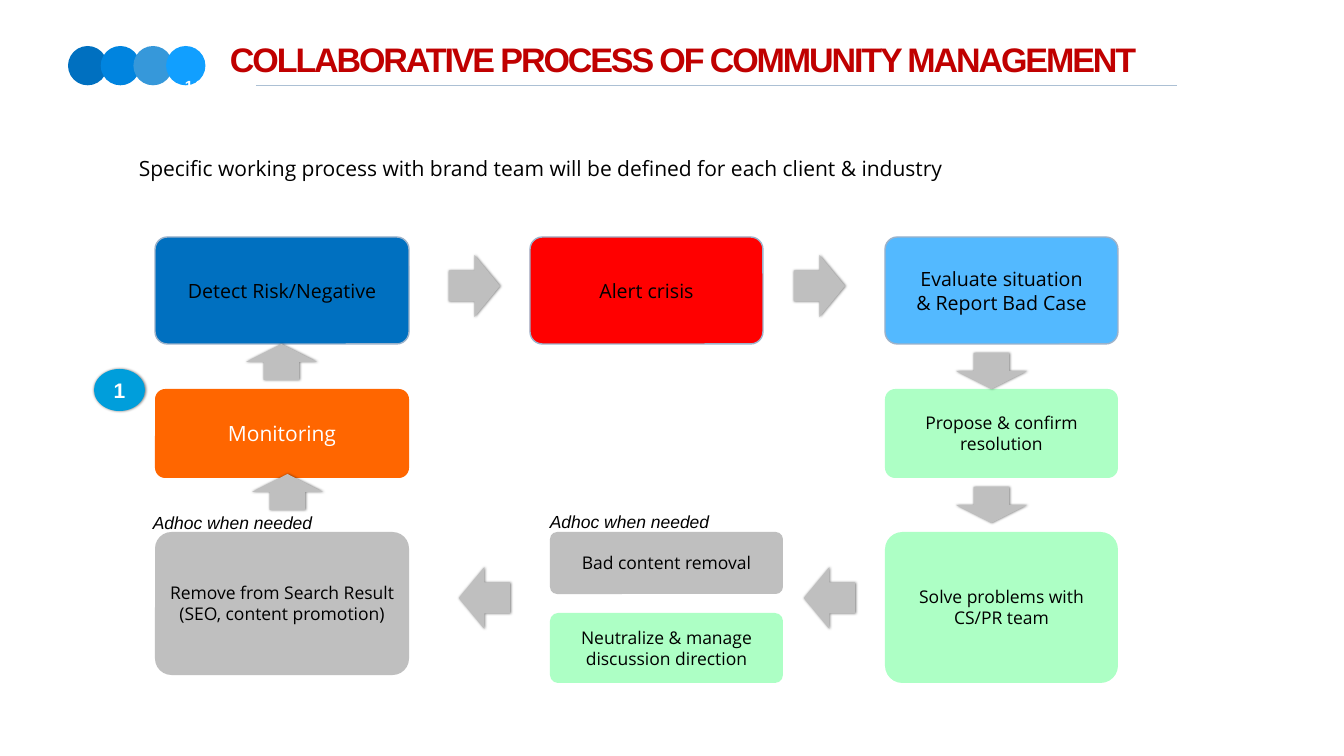
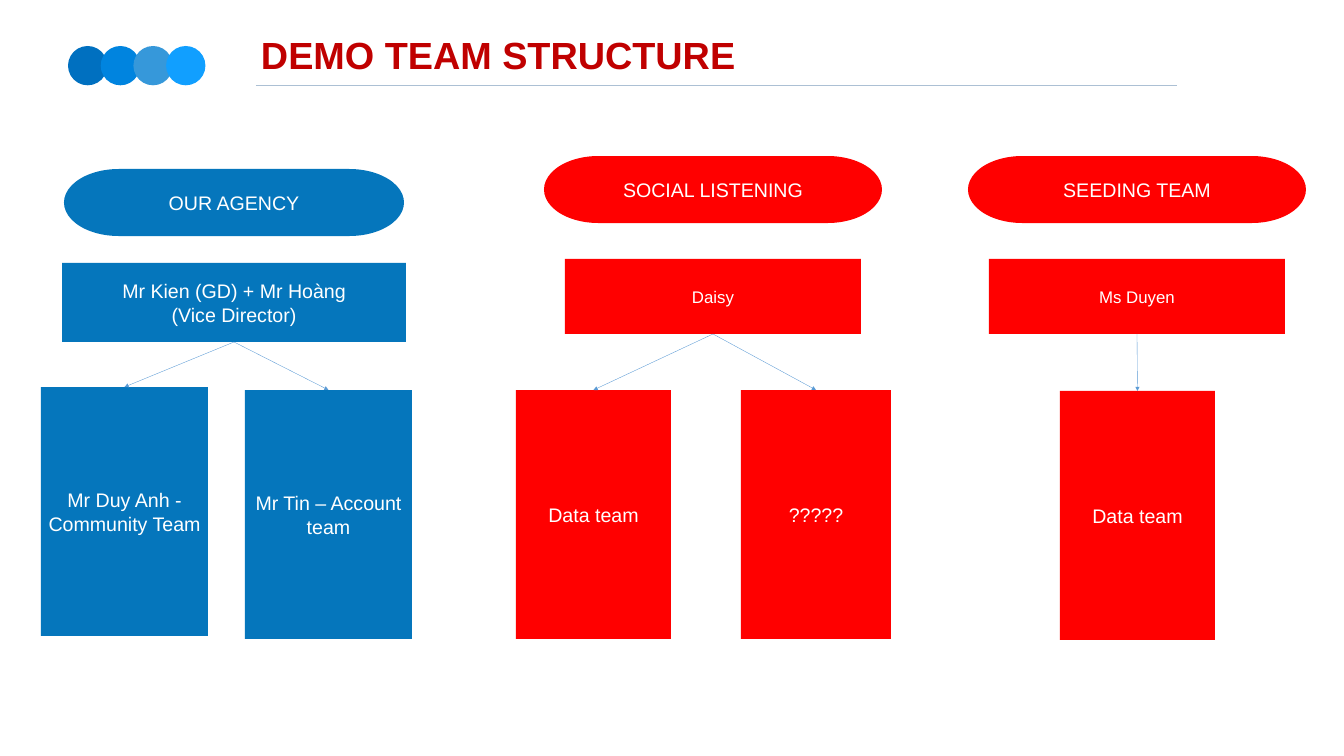
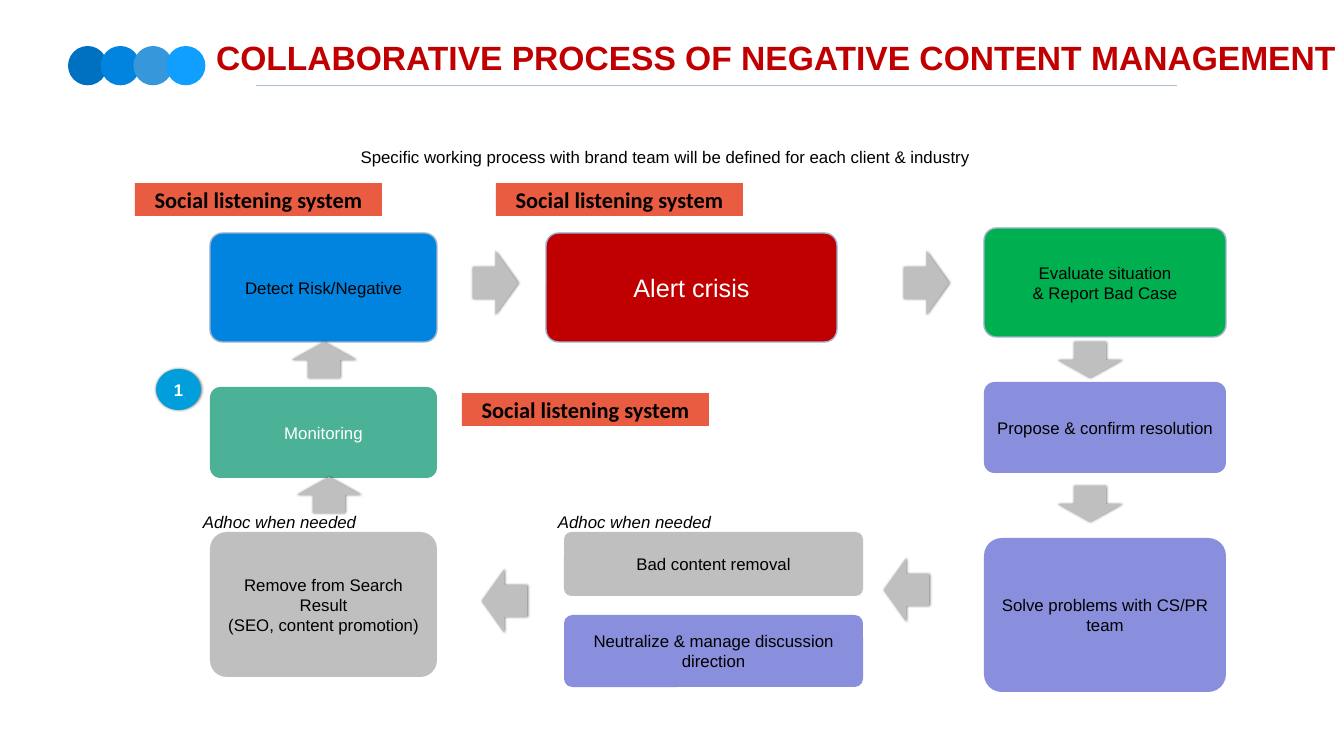
from lxml.etree import SubElement
from pptx import Presentation
from pptx.dml.color import RGBColor
from pptx.enum.shapes import MSO_CONNECTOR, MSO_SHAPE
from pptx.enum.text import MSO_ANCHOR, MSO_AUTO_SIZE, PP_ALIGN
from pptx.oxml.ns import qn
from pptx.util import Emu, Pt

EMU_PER_PIXEL = 914400 / 50.4
BLACK, WHITE = "000000", "FFFFFF"
RED, DARK_RED, BLUE = "FF0000", "C00000", "0576BC"
GREY, GREEN, VIOLET = "BFBFBF", "ADFFC5", "898FDC"
OUTLINE = "9CB2CA"
DOT_COLOURS = ["0070C0", "0084DF", "3698DA", "119FFF"]
CAPTION = "Specific working process with brand team will be defined for each client & industry"

STEP_TEXTS = {
    "detect": "Detect Risk/Negative",
    "alert": "Alert crisis",
    "evaluate": "Evaluate situation\n& Report Bad Case",
    "propose": "Propose & confirm resolution",
    "solve": "Solve problems with CS/PR team",
    "neutralize": "Neutralize & manage discussion direction",
    "removal": "Bad content removal",
    "remove": "Remove from Search Result\n(SEO, content promotion)",
    "monitoring": "Monitoring",
}
OUTLINED_STEPS = {"detect", "alert", "evaluate"}
ARROWS = {
    "right": MSO_SHAPE.RIGHT_ARROW,
    "left": MSO_SHAPE.LEFT_ARROW,
    "down": MSO_SHAPE.DOWN_ARROW,
    "up": MSO_SHAPE.UP_ARROW,
}


def px(length):
    return Emu(round(length * EMU_PER_PIXEL))


def colour(hex_code):
    return RGBColor.from_string(hex_code)


def shift(origin, place):
    return origin[0] + place[0], origin[1] + place[1], *place[2:]


def write(shape, text, size, ink=BLACK, font="Arial", bold=False, italic=False,
          align=PP_ALIGN.CENTER, anchor=MSO_ANCHOR.MIDDLE, insets=(5, 2.5), wrap=True):
    frame = shape.text_frame
    frame.word_wrap = wrap
    frame.auto_size = MSO_AUTO_SIZE.NONE
    frame.vertical_anchor = anchor
    frame.margin_left = frame.margin_right = px(insets[0])
    frame.margin_top = frame.margin_bottom = px(insets[1])
    frame.text = text
    for paragraph in frame.paragraphs:
        paragraph.alignment = align
        paragraph.font.name = font
        paragraph.font.size = Pt(size)
        paragraph.font.bold = bold
        paragraph.font.italic = italic
        paragraph.font.color.rgb = colour(ink)
    return shape


def draw(slide, preset, place, fill, outline=None):
    shape = slide.shapes.add_shape(preset, *map(px, place))
    shape.shadow.inherit = False
    shape.fill.solid()
    shape.fill.fore_color.rgb = colour(fill)
    if outline:
        shape.line.color.rgb = colour(outline)
        shape.line.width = Pt(2)
    else:
        shape.line.fill.background()
    return shape


def label(slide, place, text, size, **style):
    return write(slide.shapes.add_textbox(*map(px, place)), text, size, **style)


def cast_shadow(shape):
    effects = shape._element.spPr.find(qn("a:effectLst"))
    shadow = SubElement(effects, qn("a:outerShdw"), blurRad=str(Pt(4)), dist=str(Pt(1)),
                        dir="0", rotWithShape="0")
    tint = SubElement(shadow, qn("a:srgbClr"), val=BLACK)
    SubElement(tint, qn("a:alpha"), val="50000")


def connect(slide, ends, line_colour, width):
    connector = slide.shapes.add_connector(MSO_CONNECTOR.STRAIGHT, *map(px, ends))
    connector.line.color.rgb = colour(line_colour)
    connector.line.width = Pt(width)
    SubElement(connector._element.spPr, qn("a:effectLst"))
    return connector


def add_band_to_layout(slide, layout):
    band = [draw(slide, MSO_SHAPE.OVAL, (68 + 32.7 * i, 46, 39.3, 39.3), dot)
            for i, dot in enumerate(DOT_COLOURS)]
    band.append(connect(slide, (256, 85.7, 1177, 85.7), "ACC0D4", 2))
    for part in band:
        layout.shapes._spTree.append(part._element)


def set_title(slide, place, text, size, spacing=None):
    title = slide.shapes.title
    title.left, title.top, title.width, title.height = map(px, place)
    write(title, text, size, DARK_RED, bold=True, align=PP_ALIGN.LEFT,
          anchor=MSO_ANCHOR.TOP, insets=(3, 3))
    if spacing:
        title.text_frame.paragraphs[0].runs[0].font._element.set("spc", str(spacing))


def add_caption(slide, place, size, font, insets, space_after):
    caption = label(slide, place, CAPTION, size, font=font, insets=insets,
                    anchor=MSO_ANCHOR.TOP)
    paragraph = caption.text_frame.paragraphs[0]
    paragraph.line_spacing = 1.2
    paragraph.space_after = Pt(space_after)


def add_process(slide, origin, steps, arrows, arrow_size, badge, notes, note_size,
                font, insets, badge_insets, badge_text_size, note_text_size):
    for step, (place, fill, size, ink) in steps.items():
        box = draw(slide, MSO_SHAPE.ROUNDED_RECTANGLE, shift(origin, place), fill,
                   OUTLINE if step in OUTLINED_STEPS else None)
        box.adjustments[0] = 0.115
        write(box, STEP_TEXTS[step], size, ink, font, insets=insets)
    for direction, corners in arrows.items():
        size = arrow_size["across" if direction in ("left", "right") else "along"]
        for corner in corners:
            cast_shadow(draw(slide, ARROWS[direction], shift(origin, corner + size), GREY))
    number = draw(slide, MSO_SHAPE.OVAL, shift(origin, badge), "009EDB")
    cast_shadow(number)
    write(number, "1", badge_text_size, WHITE, bold=True, insets=badge_insets)
    for corner in notes:
        label(slide, shift(origin, corner + note_size), "Adhoc when needed",
              note_text_size, italic=True)


def add_team(slide, origin, fill, name, lead, members, lead_size, member_insets):
    def unit(preset, place, text, size, insets=(5, 2.5)):
        return write(draw(slide, preset, shift(origin, place), fill), text, size, WHITE,
                     insets=insets)

    unit(MSO_SHAPE.FLOWCHART_TERMINATOR, *name, 28)
    head = unit(MSO_SHAPE.RECTANGLE, *lead, lead_size)
    for place, text in members:
        member = unit(MSO_SHAPE.RECTANGLE, place, text, 28, member_insets)
        link = connect(slide, (0, 0, 0, 0), "5B9BD5", 0.5)
        link.begin_connect(head, 2)
        link.end_connect(member, 0)
        SubElement(link.line._get_or_add_ln(), qn("a:tailEnd"), type="triangle")


def build_community(slide):
    set_title(slide, (227, 35, 1015, 62), "COLLABORATIVE PROCESS OF COMMUNITY MANAGEMENT",
              48.6, spacing=-300)
    label(slide, (182, 74, 22, 24), "14", 21, ink=WHITE, bold=True,
          anchor=MSO_ANCHOR.TOP, insets=(3, 3), wrap=False)
    add_caption(slide, (-27, 148, 1136, 36), 30, "Open Sans", (4, 2), 4.8)
    add_process(
        slide, (94, 237),
        steps={
            "detect": ((61, 0, 254, 107), "0070C0", 28, BLACK),
            "alert": ((436, 0, 233, 107), RED, 28, BLACK),
            "evaluate": ((791, 0, 233, 107), "53B9FF", 28, BLACK),
            "propose": ((791, 152, 233, 89), GREEN, 25, BLACK),
            "solve": ((791, 295, 233, 151), GREEN, 25, BLACK),
            "neutralize": ((456, 376, 233, 70), GREEN, 25, BLACK),
            "removal": ((456, 295, 233, 62), GREY, 25, BLACK),
            "remove": ((61, 295, 254, 143), GREY, 25, BLACK),
            "monitoring": ((61, 152, 254, 89), "FF6600", 30, WHITE),
        },
        arrows={
            "right": [(355, 18), (700, 18)],
            "left": [(365, 330), (710, 330)],
            "down": [(862, 116), (862, 250)],
            "up": [(152, 107), (158, 237)],
        },
        arrow_size={"across": (51, 62), "along": (71, 36)},
        badge=(0, 132, 51, 42), notes=[(430, 249), (33, 250)], note_size=(211, 71),
        font="Open Sans", insets=(4, 2), badge_insets=(5, 2),
        badge_text_size=30, note_text_size=25)


def build_team_structure(slide):
    set_title(slide, (258, 29, 1015, 62), "DEMO TEAM STRUCTURE", 54)
    add_team(slide, (41, 169), BLUE,
             name=((23, 0, 340, 67), "OUR AGENCY"),
             lead=((21, 94, 344, 79), "Mr Kien (GD) + Mr Hoàng\n(Vice Director)"),
             members=[((0, 218, 167, 249), "Mr Duy Anh - Community Team"),
                      ((204, 221, 167, 249), "Mr Tin – Account team")],
             lead_size=28, member_insets=(5, 2.5))
    red_teams = [
        (544, "SOCIAL LISTENING", "Daisy",
         [((-28, 234, 155, 249), "Data team"), ((197, 234, 150, 249), "?????")]),
        (968, "SEEDING TEAM", "Ms Duyen", [((92, 235, 155, 249), "Data team")]),
    ]
    for left, name, lead, members in red_teams:
        add_team(slide, (left, 156), RED, ((0, 0, 338, 67), name),
                 ((21, 103, 296, 75), lead), members, lead_size=24,
                 member_insets=(0, 2.5))


def build_negative_content(slide):
    set_title(slide, (213, 34, 1161, 62),
              "COLLABORATIVE PROCESS OF NEGATIVE CONTENT MANAGEMENT", 48)
    add_caption(slide, (157, 138, 1016, 34), 24, "Arial", (10, 5), 11.5)
    add_process(
        slide, (156, 228),
        steps={
            "detect": ((54, 5, 227, 109), "0084DF", 24, BLACK),
            "alert": ((390, 5, 291, 109), DARK_RED, 36, WHITE),
            "evaluate": ((828, 0, 242, 109), "00B050", 24, BLACK),
            "propose": ((828, 154, 242, 91), VIOLET, 24, BLACK),
            "solve": ((828, 310, 242, 154), VIOLET, 24, BLACK),
            "neutralize": ((408, 387, 299, 72), VIOLET, 24, BLACK),
            "removal": ((408, 304, 299, 64), GREY, 24, BLACK),
            "remove": ((54, 304, 227, 145), GREY, 24, BLACK),
            "monitoring": ((54, 159, 227, 91), "4CB297", 24, WHITE),
        },
        arrows={
            "right": [(317, 23), (748, 23)],
            "left": [(326, 341), (728, 330)],
            "down": [(902, 114), (902, 258)],
            "up": [(136, 114), (141, 249)],
        },
        arrow_size={"across": (45, 64), "along": (64, 36)},
        badge=(0, 141, 45, 41), notes=[(384, 258), (29, 258)], note_size=(189, 72),
        font="Arial", insets=(10, 5), badge_insets=(11, 5.5),
        badge_text_size=24, note_text_size=24)
    for left, top in [(496, 183), (135, 183), (462, 393)]:
        tag = draw(slide, MSO_SHAPE.RECTANGLE, (left, top, 247, 33), "EA5C42")
        write(tag, "Social listening system", 32, font="Calibri", bold=True,
              anchor=MSO_ANCHOR.TOP, insets=(3, 3))


deck = Presentation()
deck.slide_width, deck.slide_height = px(1344), px(756)
title_only = deck.slide_layouts[5]
builders = [build_community, build_team_structure, build_negative_content]
for index, build in enumerate(builders):
    slide = deck.slides.add_slide(title_only)
    if index == 0:
        add_band_to_layout(slide, title_only)
    build(slide)
deck.save("out.pptx")
